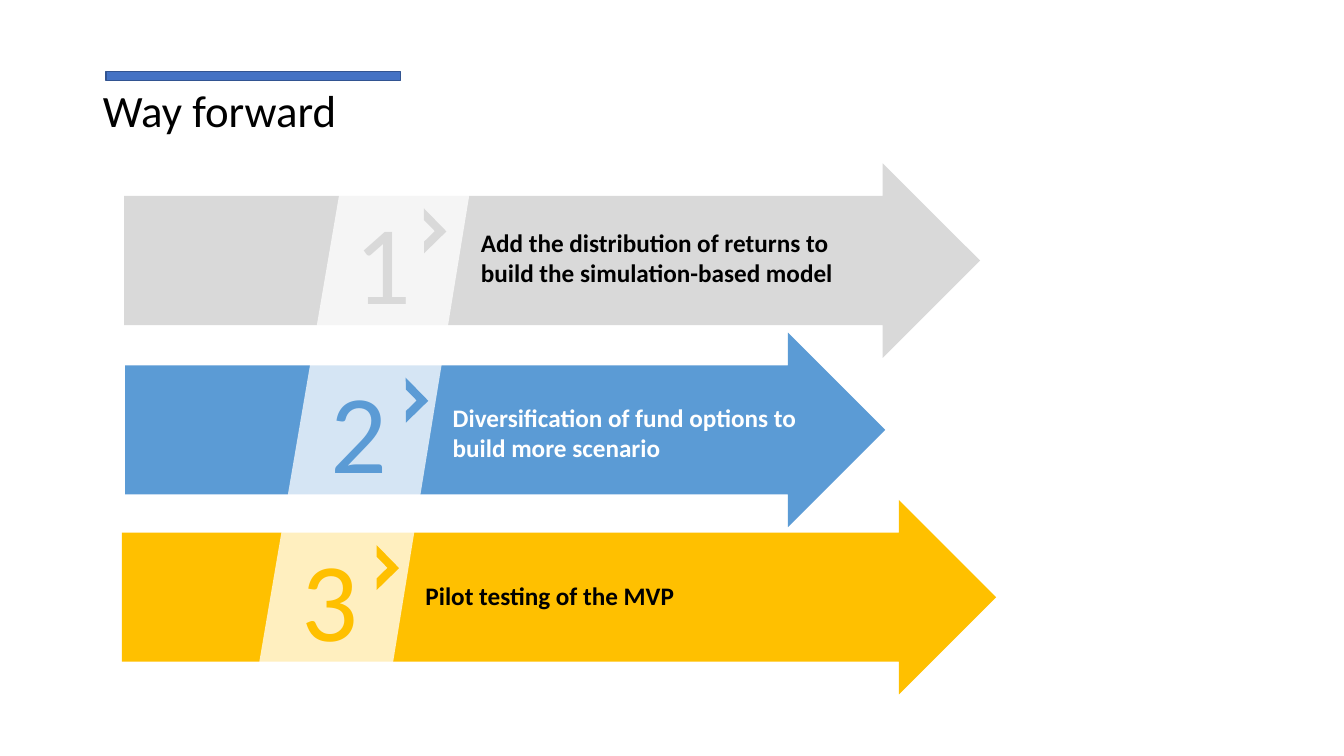
from collections import namedtuple

from lxml.etree import SubElement
from pptx import Presentation
from pptx.dml.color import RGBColor
from pptx.enum.shapes import MSO_SHAPE
from pptx.enum.text import MSO_ANCHOR, MSO_AUTO_SIZE, PP_ALIGN
from pptx.oxml.ns import qn
from pptx.util import Inches, Pt

FONT = "Calibri"
COLORS = {
    "black": "000000",
    "white": "FFFFFF",
    "accent": "4472C4",
    "accent_line": "325491",
    "gray": "D9D9D9",
    "blue": "5B9BD5",
    "gold": "FFC000",
}
ARROW_H = 1.93

Step = namedtuple("Step", "left top width color number_x chevron_x label_x label_y label_h label_color label")
STEPS = [
    Step(1.23, 1.62, 8.49, "gray", 3.38, 4.05, 4.77, 2.25, 0.61, "black",
         "Add the distribution of returns to build the simulation-based model"),
    Step(1.24, 3.3, 7.54, "blue", 3.14, 3.87, 4.49, 3.99, 0.61, "white",
         "Diversification of fund options to build more scenario"),
    Step(1.21, 4.96, 8.67, "gold", 2.86, 3.58, 4.22, 5.76, 0.3, "black",
         "Pilot testing of the MVP"),
]


def rgb(name):
    return RGBColor.from_string(COLORS[name])


def add_run(p, text, size, color, bold=False):
    r = p.add_run()
    r.text = text
    r.font.name = FONT
    r.font.size = Pt(size)
    r.font.bold = bold
    r.font.color.rgb = rgb(color)


def paint(sp, color):
    sp.shadow.inherit = False
    sp.fill.solid()
    sp.fill.fore_color.rgb = rgb(color)
    sp.line.fill.background()


def add_preset(s, preset, x, y, w, h, color, adjustments=()):
    sp = s.shapes.add_shape(preset, Inches(x), Inches(y), Inches(w), Inches(h))
    paint(sp, color)
    for i, value in enumerate(adjustments):
        sp.adjustments[i] = value
    return sp


def add_text(s, x, y, w, h, text, size, color, bold=False, align=PP_ALIGN.LEFT):
    tf = s.shapes.add_textbox(Inches(x), Inches(y), Inches(w), Inches(h)).text_frame
    tf.margin_left = tf.margin_right = tf.margin_top = tf.margin_bottom = 0
    tf.word_wrap = True
    tf.auto_size = MSO_AUTO_SIZE.SHAPE_TO_FIT_TEXT
    p = tf.paragraphs[0]
    p.alignment = align
    add_run(p, text, size, color, bold)


def add_title(s, x, y, w, h):
    title = s.shapes.title
    title.left, title.top, title.width, title.height = map(Inches, (x, y, w, h))
    tf = title.text_frame
    tf.vertical_anchor = MSO_ANCHOR.MIDDLE
    p = tf.paragraphs[0]
    p.alignment = PP_ALIGN.LEFT
    p.line_spacing = 0.9
    add_run(p, "Way forward", 32, "black")
    bar = add_preset(s, MSO_SHAPE.RECTANGLE, x + 0.13, y + 0.31, 2.92, 0.09, "accent")
    bar.line.color.rgb = rgb("accent_line")
    bar.line.width = Pt(1)


def add_band(s, x, y, w, h):
    corners = [(x + 0.88, y), (x + w, y), (x + 1.33, y + h), (x, y + h)]
    points = [(Inches(px), Inches(py)) for px, py in corners]
    builder = s.shapes.build_freeform(*points[0])
    builder.add_line_segments(points[1:], close=True)
    band = builder.convert_to_shape()
    paint(band, "white")
    srgb = band.fill._xPr.find(qn("a:solidFill")).find(qn("a:srgbClr"))
    SubElement(srgb, qn("a:alpha")).set("val", "75000")


def add_marker(s, step):
    chevron = add_preset(s, MSO_SHAPE.HALF_FRAME, step.chevron_x, step.top + 0.51,
                         0.31, 0.32, step.color, (0.266, 0.259))
    chevron.rotation = 135.7
    add_text(s, step.number_x, step.top + 0.29, 0.83, 1.35,
             str(STEPS.index(step) + 1), 80, step.color, align=PP_ALIGN.CENTER)


def add_steps(s):
    for step in STEPS:
        add_preset(s, MSO_SHAPE.RIGHT_ARROW, step.left, step.top, step.width, ARROW_H,
                   step.color, (0.664, 0.5))
    add_band(s, 2.52, 1.72, 2.17, 5.15)
    for step in STEPS:
        add_marker(s, step)
    for step in STEPS:
        add_text(s, step.label_x, step.label_y, 3.89, step.label_h,
                 step.label, 18, step.label_color, bold=True)


def main():
    prs = Presentation()
    prs.slide_width = Inches(13.33)
    prs.slide_height = Inches(7.5)
    s = prs.slides.add_slide(prs.slide_layouts[5])
    add_title(s, 0.92, 0.4, 11.5, 1.45)
    add_steps(s)
    prs.save("out.pptx")


if __name__ == "__main__":
    main()
